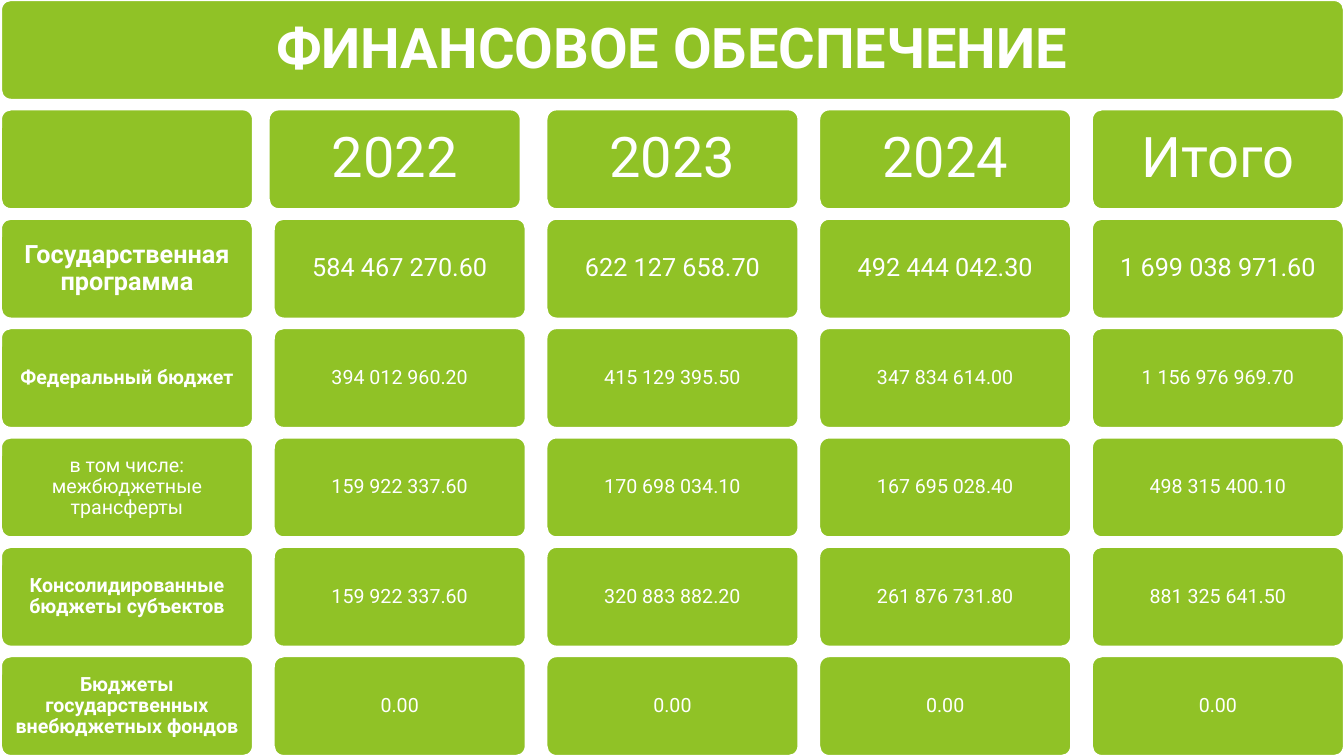
import pptx
import pptx.util
import pptx.dml.color
import pptx.enum.shapes
import pptx.enum.text

Inches, Pt = pptx.util.Inches, pptx.util.Pt
GREEN, WHITE = "90C226", "FFFFFF"
CARD_W, CARD_H = 2.5, 0.99
LEFT = 0.01
COL_STEP = 10.82 / 4
ROW_STEP = 6.51 / 6

# Row: font size, inset, label bold, cells
ROWS = [
    (40, 0.17, False, ["", "2022", "2023", "2024", "Итого"]),
    (18, 0.07, True, ["Государственная программа", "584 467 270.60",
                      "622 127 658.70", "492 444 042.30", "1 699 038 971.60"]),
    (14, 0.06, True, ["Федеральный бюджет", "394 012 960.20",
                      "415 129 395.50", "347 834 614.00", "1 156 976 969.70"]),
    (14, 0.06, False, ["в том числе: межбюджетные трансферты", "159 922 337.60",
                       "170 698 034.10", "167 695 028.40", "498 315 400.10"]),
    (14, 0.06, True, ["Консолидированные бюджеты субъектов", "159 922 337.60",
                      "320 883 882.20", "261 876 731.80", "881 325 641.50"]),
    (14, 0.06, True, ["Бюджеты государственных внебюджетных фондов",
                      "0.00", "0.00", "0.00", "0.00"]),
]

prs = pptx.Presentation()
prs.slide_width, prs.slide_height = Inches(13.33), Inches(7.5)
s = prs.slides.add_slide(prs.slide_layouts[5])
rgb = pptx.dml.color.RGBColor.from_string


def add_card(x, y, w):
    sp = s.shapes.add_shape(pptx.enum.shapes.MSO_SHAPE.ROUNDED_RECTANGLE,
                            Inches(x), Inches(y), Inches(w), Inches(CARD_H))
    sp.adjustments[0] = 0.1
    sp.shadow.inherit = False
    sp.fill.solid()
    sp.fill.fore_color.rgb = rgb(GREEN)
    sp.line.color.rgb = rgb(WHITE)
    sp.line.width = Pt(1.5)
    return sp


def set_text(sp, text, size, inset, bold):
    tf = sp.text_frame
    tf.text = text
    tf.word_wrap = True
    tf.auto_size = pptx.enum.text.MSO_AUTO_SIZE.NONE
    tf.vertical_anchor = pptx.enum.text.MSO_ANCHOR.MIDDLE
    tf.margin_left = tf.margin_right = Inches(inset)
    tf.margin_top = tf.margin_bottom = Inches(inset)
    p = tf.paragraphs[0]
    p.alignment = pptx.enum.text.PP_ALIGN.CENTER
    p.line_spacing = 0.9
    p.font.name = "Roboto"
    p.font.size = Pt(size)
    p.font.bold = bold
    p.font.color.rgb = rgb(WHITE)


# Title banner with the title placeholder above it
banner = add_card(LEFT, 0, 13.32)
title = s.shapes.title
title.left, title.top = Inches(0.03), Inches(0.03)
title.width, title.height = Inches(13.26), Inches(0.93)
set_text(title, "ФИНАНСОВОЕ ОБЕСПЕЧЕНИЕ", 40, 0.17, True)
banner.element.addnext(title.element)

# Grid of cards, column by column
for col in range(5):
    for row, (size, inset, label_bold, cells) in enumerate(ROWS, start=1):
        x = LEFT + col * COL_STEP
        if cells[col] == "2022":
            x -= 0.05  # this header sits slightly left of its column
        sp = add_card(x, row * ROW_STEP, CARD_W)
        if cells[col]:
            set_text(sp, cells[col], size, inset, label_bold and col == 0)

prs.save("out.pptx")
